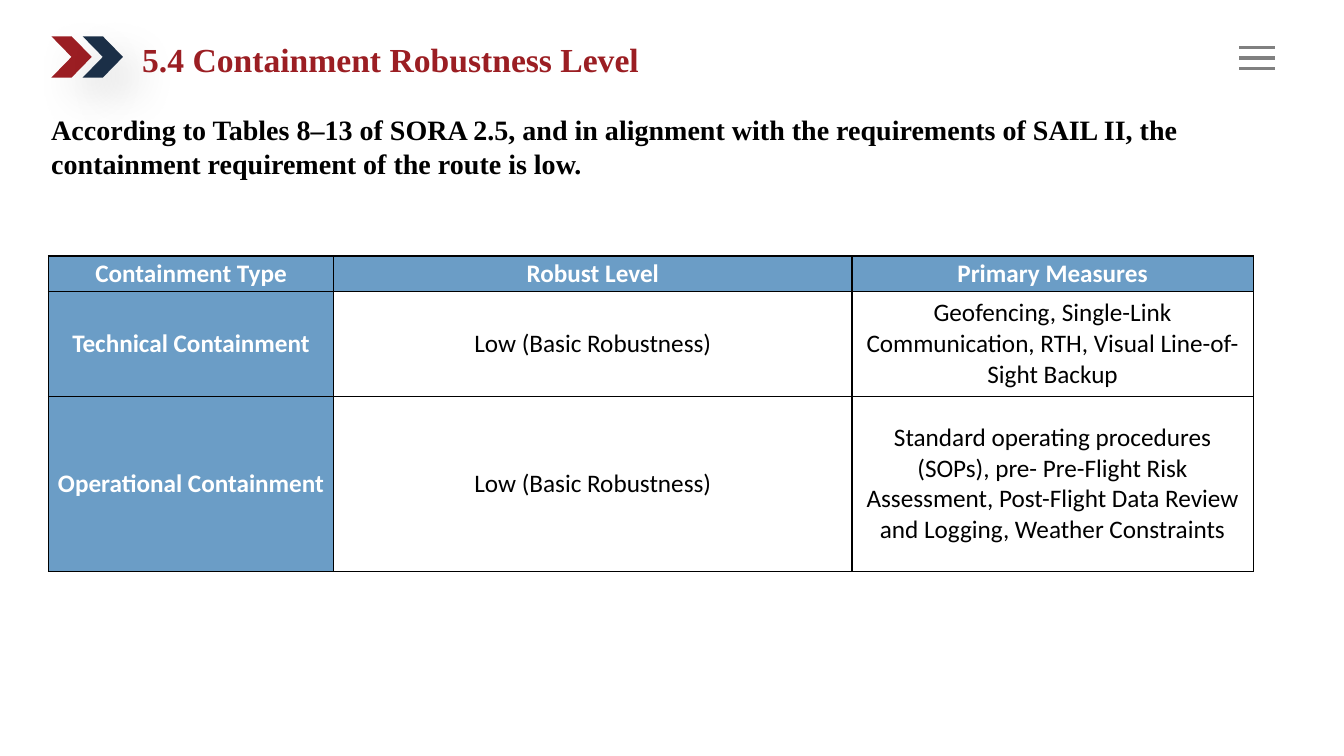
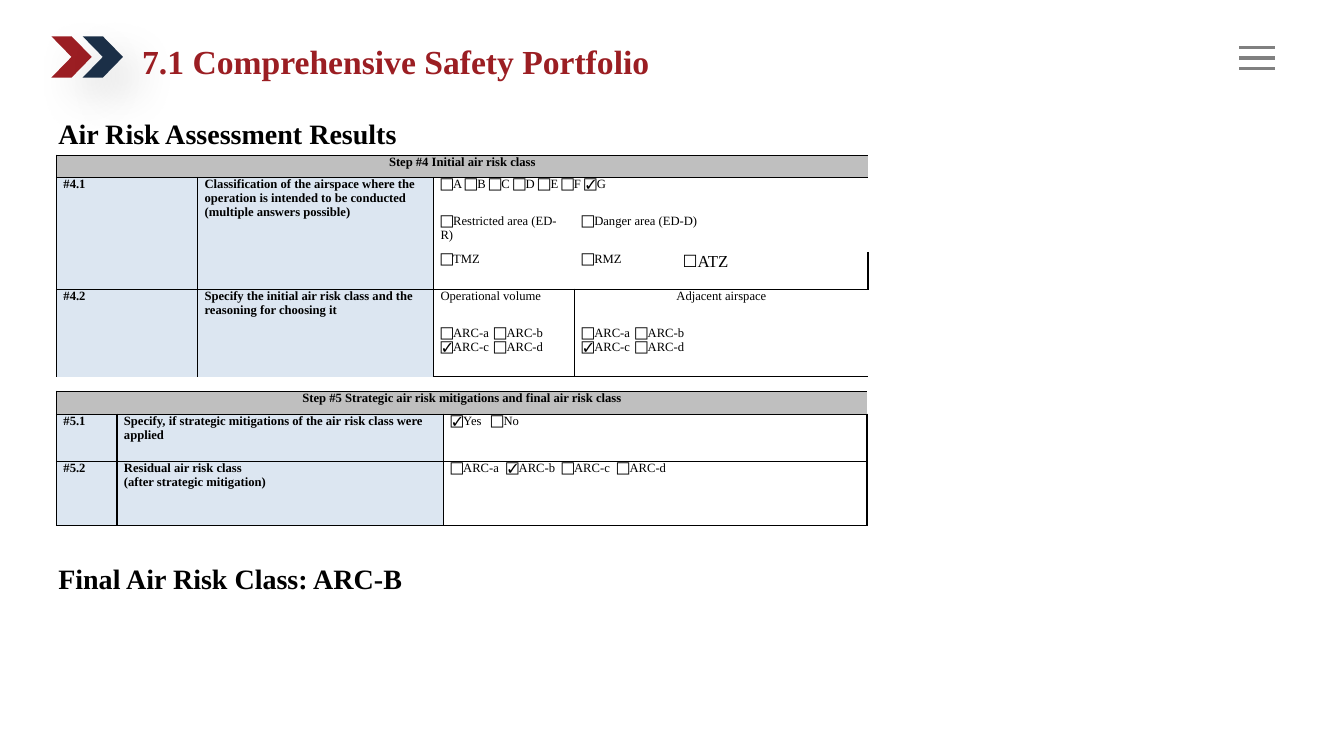
"""Build two slides on containment and air risk results."""
from dataclasses import dataclass
from itertools import product

from lxml import etree
from pptx import Presentation, util as u
from pptx.dml.color import RGBColor
from pptx.enum import shapes, text
from pptx.oxml import ns


@dataclass(frozen=True)
class Theme:
    """Colours, fonts and type sizes of the deck."""
    red: str = "9B1E23"
    navy: str = "1B2F47"
    gray: str = "808080"
    blue: str = "6B9DC6"
    pale: str = "DCE6F1"
    band: str = "BFBFBF"
    ink: str = "000000"
    white: str = "FFFFFF"
    serif: str = "Times New Roman"
    sans: str = "Calibri"
    mark: str = "Karla"
    title: int = 24
    lead: int = 20
    data: int = 18
    note: int = 12
    form: int = 9


T = Theme()
ALIGN = text.PP_ALIGN


@dataclass
class Cell:
    """Text, span and look of one table cell."""
    row: int
    col: int
    text: str
    fill: str = ""
    color: str = T.ink
    bold: bool = False
    align: ALIGN = ALIGN.LEFT
    span: tuple = (1, 1)
    edges: str = "LRTB"
    anchor: text.MSO_ANCHOR = text.MSO_ANCHOR.TOP
    font: str = T.serif
    size: int = T.form
    tabs: tuple = ()


def rgb(code):
    """Return a colour object."""
    return RGBColor.from_string(code)


def sub(node, tag, **attrs):
    """Add a drawing element with attributes."""
    return etree.SubElement(node, ns.qn(f"a:{tag}"),
                            {key: str(val) for key, val in attrs.items()})


def box(*sizes):
    """Turn numbers into inches."""
    return [u.Inches(size) for size in sizes]


def style(para, font, size, color, bold):
    """Format all runs of a paragraph."""
    for run in para.runs:
        run.font.name = font
        run.font.size = u.Pt(size)
        run.font.bold = bold
        run.font.color.rgb = rgb(color)


def chevron(slide, left, color):
    """Draw a chevron with a soft shadow."""
    shape = slide.shapes.add_shape(shapes.MSO_SHAPE.CHEVRON,
                                   *box(left, 0.36, 0.4, 0.41))
    shape.fill.solid()
    shape.fill.fore_color.rgb = rgb(color)
    shape.line.fill.background()
    shape.shadow.inherit = False
    glow = sub(shape.element.spPr.find(ns.qn("a:effectLst")), "outerShdw",
               blurRad=u.Pt(32), dist=u.Pt(19), dir=45 * 60000,
               algn="tl", rotWithShape=0)
    sub(sub(glow, "srgbClr", val=T.ink), "alpha", val=14000)
    return shape


def bar(slide, top):
    """Draw one line of the menu sign."""
    line = slide.shapes.add_connector(shapes.MSO_CONNECTOR.STRAIGHT,
                                      *box(12.29, top, 12.65, top))
    line.line.color.rgb = rgb(T.gray)
    line.line.width = u.Pt(2.25)
    sub(line.element.spPr, "effectLst")
    return line


def frame(slide, layout):
    """Place the shared signs on the layout."""
    for holder in list(layout.placeholders):
        if holder.placeholder_format.type != shapes.PP_PLACEHOLDER.TITLE:
            holder.element.getparent().remove(holder.element)
    signs = [chevron(slide, 0.51, T.red), chevron(slide, 0.82, T.navy)]
    signs += [bar(slide, 0.47 + 0.105 * step) for step in range(3)]
    for sign in signs:
        layout.shapes.element.append(sign.element)


def title(slide, words, width, height):
    """Fill and place the slide title."""
    shape = slide.shapes.title
    shape.left, shape.top, shape.width, shape.height = box(
        1.31, 0.22, width, height)
    body = shape.text_frame
    body.text = words
    body.auto_size = text.MSO_AUTO_SIZE.NONE
    body.vertical_anchor = text.MSO_ANCHOR.MIDDLE
    para = body.paragraphs[0]
    para.alignment = ALIGN.LEFT
    para.line_spacing = 0.9
    style(para, T.serif, T.title, T.red, True)


def lead(slide, words, *place):
    """Add a bold line of text."""
    body = slide.shapes.add_textbox(*box(*place)).text_frame
    body.word_wrap = True
    body.auto_size = text.MSO_AUTO_SIZE.SHAPE_TO_FIT_TEXT
    body.text = words
    style(body.paragraphs[0], T.serif, T.lead, T.ink, True)


def border(cell, edges):
    """Draw the named edges of a cell and hide the others."""
    props = cell._tc.get_or_add_tcPr()
    for edge in "LRTB":
        line = sub(props, f"ln{edge}", w=u.Pt(1))
        if edge in edges:
            sub(sub(line, "solidFill"), "srgbClr", val=T.ink)
        else:
            sub(line, "noFill")


def outer(item, row, col):
    """Return the edges that a part of a merged cell shows."""
    high, wide = item.span
    rim = {"L": col == 0, "R": col == wide - 1,
           "T": row == 0, "B": row == high - 1}
    return [edge for edge in item.edges if rim[edge]]


def put(table, item):
    """Write one cell into the table."""
    high, wide = item.span
    cell = table.cell(item.row, item.col)
    for row, col in product(range(high), range(wide)):
        border(table.cell(item.row + row, item.col + col),
               outer(item, row, col))
    if high * wide > 1:
        cell.merge(table.cell(item.row + high - 1, item.col + wide - 1))
    if item.fill:
        cell.fill.solid()
        cell.fill.fore_color.rgb = rgb(item.fill)
    else:
        cell.fill.background()
    cell.margin_left = cell.margin_right = u.Inches(0.07)
    cell.margin_top = cell.margin_bottom = 0
    cell.vertical_anchor = item.anchor
    para = cell.text_frame.paragraphs[0]
    para.text = item.text
    para.alignment = item.align
    if item.tabs:
        stops = sub(para._p.get_or_add_pPr(), "tabLst")
        for stop in item.tabs:
            sub(stops, "tab", pos=u.Inches(stop), algn="l")
    style(para, item.font, item.size, item.color, item.bold)


def grid(slide, left, top, cols, rows, cells):
    """Add a table with the given cells."""
    table = slide.shapes.add_table(
        len(rows), len(cols), *box(left, top, sum(cols), sum(rows))).table
    table.first_row = table.horz_banding = False
    for part, size in zip(table.columns, cols):
        part.width = u.Inches(size)
    for part, size in zip(table.rows, rows):
        part.height = u.Inches(size)
    for item in cells:
        put(table, item)
    return table


def head(words, wide):
    """Return the band on top of a form."""
    return Cell(0, 0, words, T.band, bold=True, align=ALIGN.CENTER,
                span=(1, wide))


def ask(row, code, words, high=1):
    """Return the number and question cells of a form row."""
    return [Cell(row, col, words, T.pale, bold=True, span=(high, 1))
            for col, words in enumerate((code, words))]


def contain(slide):
    """Fill the containment slide."""
    title(slide, "5.4 Containment Robustness Level", 8.14, 0.78)
    lead(slide, "According to Tables 8–13 of SORA 2.5, and in alignment with "
         "the requirements of SAIL II, the containment requirement of the "
         "route is low.", 0.41, 1.07, 12.92, 0.77)
    data = [
        ("Containment Type", "Robust Level", "Primary Measures"),
        ("Technical Containment", "Low (Basic Robustness)",
         "Geofencing, Single-Link Communication, RTH, "
         "Visual Line-of-Sight Backup"),
        ("Operational Containment", "Low (Basic Robustness)",
         "Standard operating procedures (SOPs), pre- Pre-Flight Risk "
         "Assessment, Post-Flight Data Review and Logging, "
         "Weather Constraints"),
    ]
    cells = []
    for row, line in enumerate(data):
        for col, words in enumerate(line):
            key = row == 0 or col == 0
            cells.append(Cell(
                row, col, words, T.blue if key else T.white,
                T.white if key else T.ink, key, ALIGN.CENTER,
                anchor=text.MSO_ANCHOR.MIDDLE, font=T.sans, size=T.data))
    grid(slide, 0.48, 2.54, [2.83, 5.14, 3.98], [0.35, 1.04, 1.74], cells)


def risk(slide):
    """Fill the air risk slide."""
    title(slide, "7.1 Comprehensive Safety Portfolio", 5.94, 0.83)
    lead(slide, "Air Risk Assessment Results", 0.48, 1.11, 11.66, 0.44)
    arcs = "☐ARC-a\t☐ARC-b\n☑ARC-c\t☐ARC-d"
    first = [
        head("Step #4 Initial air risk class", 5),
        *ask(1, "#4.1", "Classification of the airspace where the operation "
             "is intended to be conducted\n(multiple answers possible)", 3),
        Cell(1, 2, "☐A ☐B ☐C ☐D ☐E ☐F ☑G", span=(1, 3), edges="LRT"),
        Cell(2, 2, "☐Restricted area (ED-R)", edges="L"),
        Cell(2, 3, "☐Danger area (ED-D)", span=(1, 2), edges="R"),
        Cell(3, 2, "☐TMZ", edges="LB"),
        Cell(3, 3, "☐RMZ", edges="B"),
        Cell(3, 4, "☐", edges="RB", font=T.mark, size=T.note),
        *ask(4, "#4.2", "Specify the initial air risk class and the "
             "reasoning for choosing it", 2),
        Cell(4, 2, "Operational volume", edges="LRT"),
        Cell(4, 3, "Adjacent airspace", align=ALIGN.CENTER, span=(1, 2),
             edges="LRT"),
        Cell(5, 2, arcs, edges="LRB", tabs=(0.53,)),
        Cell(5, 3, arcs, span=(1, 2), edges="LRB", tabs=(0.53,)),
    ]
    table = grid(slide, 0.56, 1.54, [1.4, 2.34, 1.4, 1, 1.91],
                 [0.22] + [0.37] * 4 + [0.5], first)
    run = table.cell(3, 4).text_frame.paragraphs[0].add_run()
    run.text = "ATZ"
    run.font.name, run.font.size = T.serif, u.Pt(T.note)
    run.font.color.rgb = rgb(T.ink)
    second = [
        head("Step #5 Strategic air risk mitigations and final air risk "
             "class", 3),
        *ask(1, "#5.1", "Specify, if strategic mitigations of the air risk "
             "class were applied"),
        Cell(1, 2, "☑Yes\t☐No", tabs=(0.4,)),
        *ask(2, "#5.2", "Residual air risk class\n"
             "(after strategic mitigation)"),
        Cell(2, 2, "☐ARC-a\t☑ARC-b\t☐ARC-c\t☐ARC-d",
             tabs=(0.55, 1.1, 1.65)),
    ]
    grid(slide, 0.56, 3.88, [0.6, 3.24, 4.2], [0.23, 0.47, 0.63], second)
    lead(slide, "Final Air Risk Class: ARC-B", 0.48, 5.52, 11.66, 0.44)


def main():
    """Build and save the deck."""
    deck = Presentation()
    deck.slide_width, deck.slide_height = box(13.33, 7.5)
    layout = deck.slide_layouts.get_by_name("Title Only")
    slides = [deck.slides.add_slide(layout) for _ in range(2)]
    frame(slides[0], layout)
    contain(slides[0])
    risk(slides[1])
    deck.save("out.pptx")


if __name__ == "__main__":
    main()
